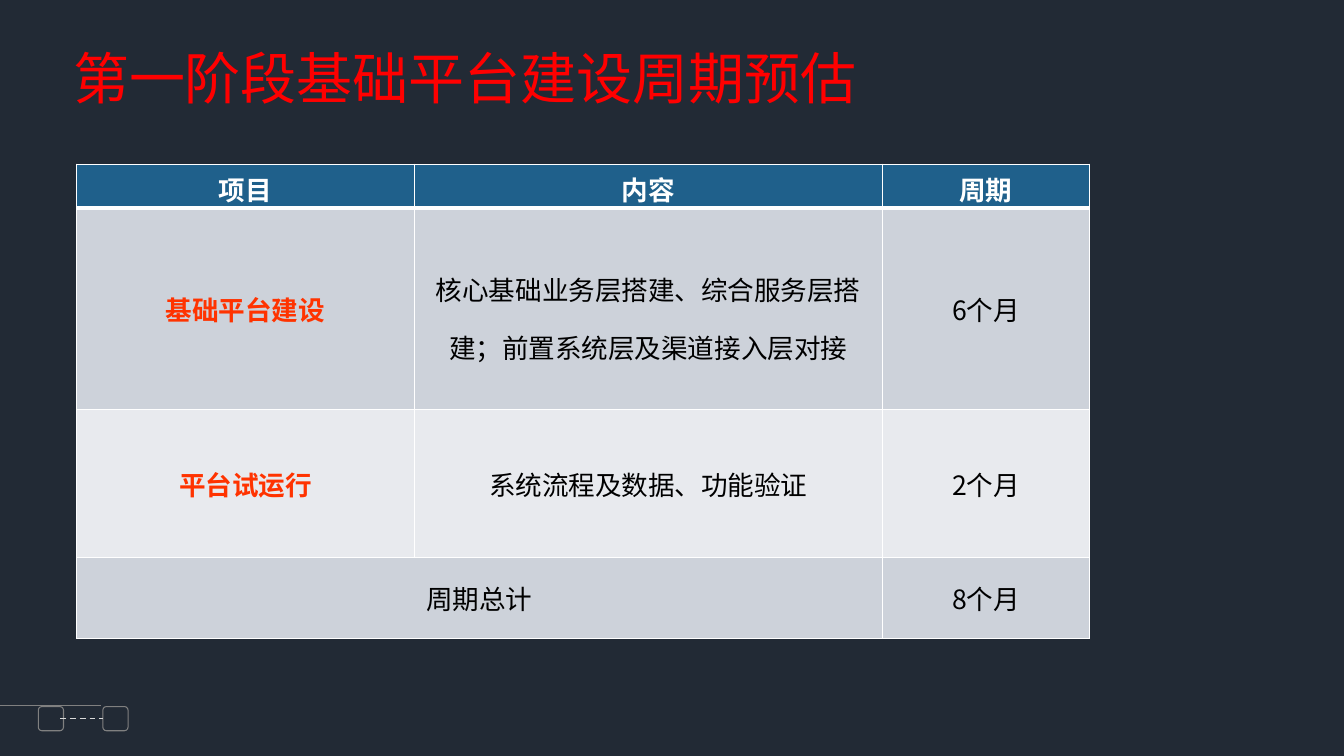
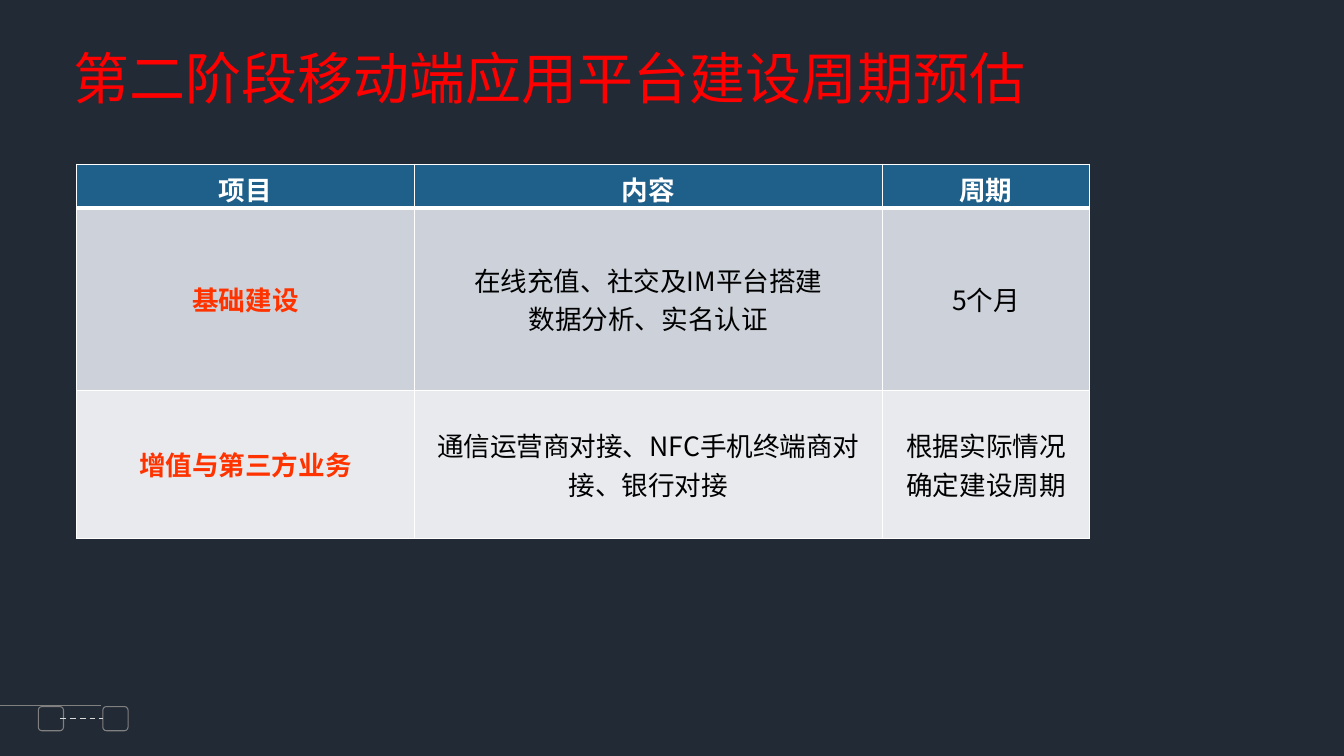
from dataclasses import dataclass

from lxml.etree import SubElement
from pptx import Presentation
from pptx.dml.color import RGBColor
from pptx.enum.dml import MSO_LINE
from pptx.enum.shapes import MSO_CONNECTOR, MSO_SHAPE
from pptx.enum.text import MSO_ANCHOR, MSO_AUTO_SIZE, PP_ALIGN
from pptx.oxml.ns import qn
from pptx.util import Inches, Pt

FONT = "Noto Sans CJK SC"
COLORS = {
    "background": "222A35",
    "title": "FF0000",
    "header": "1F608B",
    "odd_row": "CDD2DA",
    "even_row": "E8EAEE",
    "item": "FF3300",
    "text": "000000",
    "white": "FFFFFF",
    "button": "808080",
    "dash": "D9D9D9",
}
HEADINGS = ("项目", "内容", "周期")
COLUMN_WIDTHS = (3.35, 4.64, 2.06)
HEADER_HEIGHT = 0.42
TABLE_LEFT, TABLE_TOP = 0.76, 1.63
BUTTON_TOP, BUTTON_WIDTH, BUTTON_HEIGHT = 7.01, 0.25, 0.24


@dataclass(frozen=True)
class Stage:
    """One row of a schedule; without content the item spans two columns."""
    item: str
    content: str
    period: str
    height: float
    line_spacing: float = 1.0


@dataclass(frozen=True)
class Schedule:
    title: str
    stages: tuple[Stage, ...]


SCHEDULES = (
    Schedule("第一阶段基础平台建设周期预估", (
        Stage("基础平台建设",
              "核心基础业务层搭建、综合服务层搭建；前置系统层及渠道接入层对接",
              "6个月", 2.0, 1.5),
        Stage("平台试运行", "系统流程及数据、功能验证", "2个月", 1.47),
        Stage("周期总计", "", "8个月", 0.8),
    )),
    Schedule("第二阶段移动端应用平台建设周期预估", (
        Stage("基础建设", "在线充值、社交及IM平台搭建\n数据分析、实名认证",
              "5个月", 1.81),
        Stage("增值与第三方业务", "通信运营商对接、NFC手机终端商对接、银行对接",
              "根据实际情况\n确定建设周期", 1.47),
    )),
)


def rgb(name: str) -> RGBColor:
    return RGBColor.from_string(COLORS[name])


def format_text(frame, size: float, color: str, bold: bool = False,
                line_spacing: float = 1.0) -> None:
    for paragraph in frame.paragraphs:
        paragraph.alignment = PP_ALIGN.CENTER
        paragraph.line_spacing = line_spacing
        for run in paragraph.runs:
            run.font.size = Pt(size)
            run.font.bold = bold
            run.font.color.rgb = rgb(color)
            run.font.name = FONT
            east_asian = SubElement(run._r.get_or_add_rPr(), qn("a:ea"))
            east_asian.set("typeface", FONT)


# Title
def add_title(slide, text: str) -> None:
    title = slide.shapes.title
    title.left, title.top = Inches(0.58), Inches(0.38)
    title.width, title.height = Inches(0.56 * len(text) + 0.22), Inches(0.77)
    frame = title.text_frame
    frame.text = text
    frame.word_wrap = False
    frame.auto_size = MSO_AUTO_SIZE.NONE
    frame.vertical_anchor = MSO_ANCHOR.MIDDLE
    format_text(frame, 40, "title")


# Schedule table
def set_borders(cell, top: float = 1, bottom: float = 1) -> None:
    properties = cell._tc.get_or_add_tcPr()
    for side, width in (("L", 1), ("R", 1), ("T", top), ("B", bottom)):
        border = SubElement(properties, qn(f"a:ln{side}"), w=str(Pt(width)))
        fill = SubElement(border, qn("a:solidFill"))
        SubElement(fill, qn("a:srgbClr"), val=COLORS["white"])


def fill_cell(cell, text: str, fill: str, color: str, bold: bool = False,
              line_spacing: float = 1.0) -> None:
    cell.fill.solid()
    cell.fill.fore_color.rgb = rgb(fill)
    cell.vertical_anchor = MSO_ANCHOR.MIDDLE
    cell.text_frame.text = text
    format_text(cell.text_frame, 19, color, bold, line_spacing)


def add_schedule(slide, stages: tuple[Stage, ...]) -> None:
    heights = (HEADER_HEIGHT, *(stage.height for stage in stages))
    table = slide.shapes.add_table(
        len(heights), len(COLUMN_WIDTHS), Inches(TABLE_LEFT), Inches(TABLE_TOP),
        Inches(sum(COLUMN_WIDTHS)), Inches(sum(heights))).table
    table.horz_banding = False
    for column, width in zip(table.columns, COLUMN_WIDTHS):
        column.width = Inches(width)
    for row, height in zip(table.rows, heights):
        row.height = Inches(height)

    for column, heading in enumerate(HEADINGS):
        cell = table.cell(0, column)
        set_borders(cell, bottom=3)
        fill_cell(cell, heading, "header", "white", bold=True)
        cell.margin_top, cell.margin_bottom = Inches(0.05), 0

    for number, stage in enumerate(stages, start=1):
        fill = "odd_row" if number % 2 else "even_row"
        item, content, period = (table.cell(number, c) for c in range(3))
        for cell in (item, content, period):
            set_borders(cell, top=3 if number == 1 else 1)
        if stage.content:
            fill_cell(item, stage.item, fill, "item", bold=True)
            fill_cell(content, stage.content, fill, "text",
                      line_spacing=stage.line_spacing)
        else:
            item.merge(content)
            fill_cell(item, stage.item, fill, "text")
        fill_cell(period, stage.period, fill, "text")


# Previous and next buttons in the footer
def add_button(slide, left: float, direction: int):
    button = slide.shapes.add_shape(
        MSO_SHAPE.ROUNDED_RECTANGLE, Inches(left), Inches(BUTTON_TOP),
        Inches(BUTTON_WIDTH), Inches(BUTTON_HEIGHT))
    button.adjustments[0] = 0.15
    center, middle = left + BUTTON_WIDTH / 2, BUTTON_TOP + BUTTON_HEIGHT / 2
    back, tip = center - 0.025 * direction, center + 0.025 * direction
    builder = slide.shapes.build_freeform(back, middle - 0.05, scale=Inches(1))
    builder.add_line_segments([(tip, middle), (back, middle + 0.05)], close=False)
    for outline in (button, builder.convert_to_shape()):
        outline.shadow.inherit = False
        outline.fill.background()
        outline.line.color.rgb = rgb("button")
        outline.line.width = Pt(0.75)
    return button


def add_navigation(slide) -> None:
    add_button(slide, 0.38, -1)
    next_button = add_button(slide, 1.02, 1)
    middle = Inches(BUTTON_TOP + BUTTON_HEIGHT / 2)
    dash = slide.shapes.add_connector(
        MSO_CONNECTOR.STRAIGHT, Inches(0.6), middle, Inches(1.02), middle)
    dash.end_connect(next_button, 1)
    dash.line.color.rgb = rgb("dash")
    dash.line.width = Pt(1)
    dash.line.dash_style = MSO_LINE.DASH
    SubElement(dash._element.spPr, qn("a:effectLst"))


def main() -> None:
    deck = Presentation()
    deck.slide_width, deck.slide_height = Inches(13.33), Inches(7.5)
    background = deck.slide_master.background.fill
    background.solid()
    background.fore_color.rgb = rgb("background")
    title_only = deck.slide_layouts[5]
    for schedule in SCHEDULES:
        slide = deck.slides.add_slide(title_only)
        add_navigation(slide)
        add_title(slide, schedule.title)
        add_schedule(slide, schedule.stages)
    deck.save("out.pptx")


if __name__ == "__main__":
    main()
